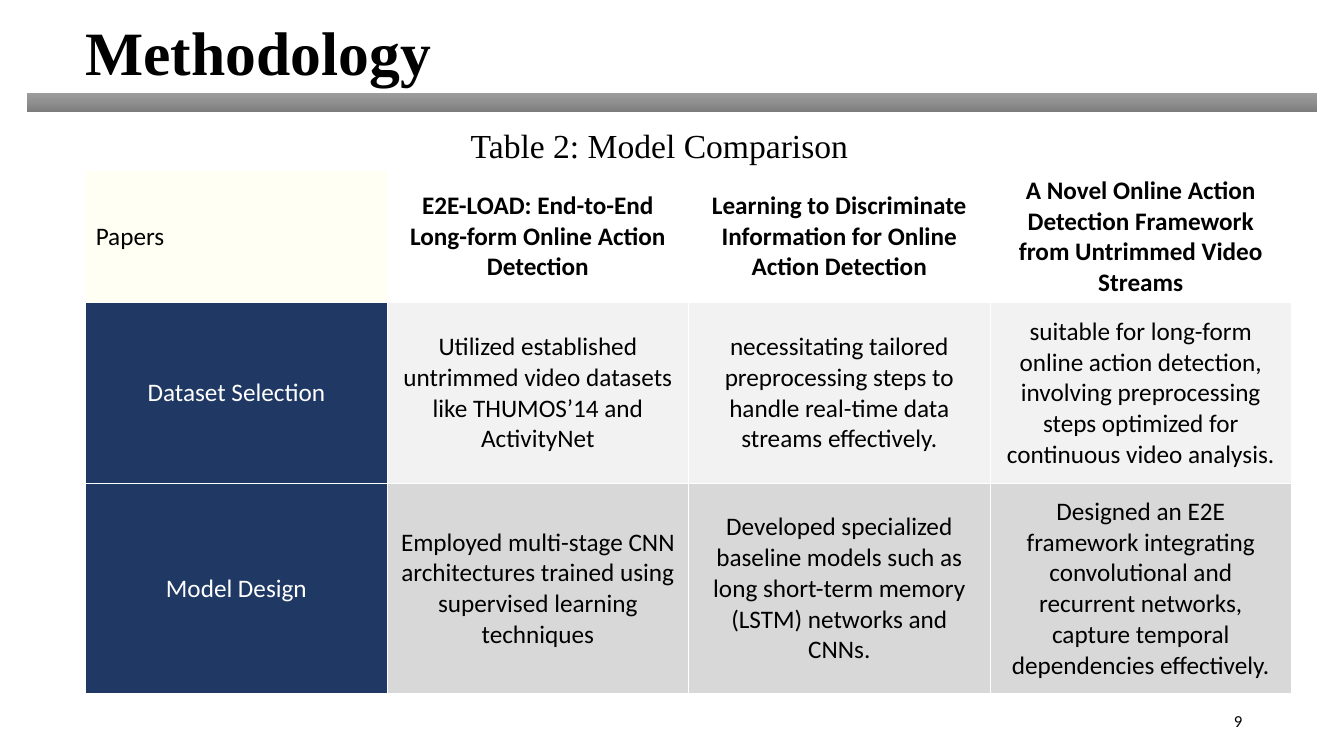
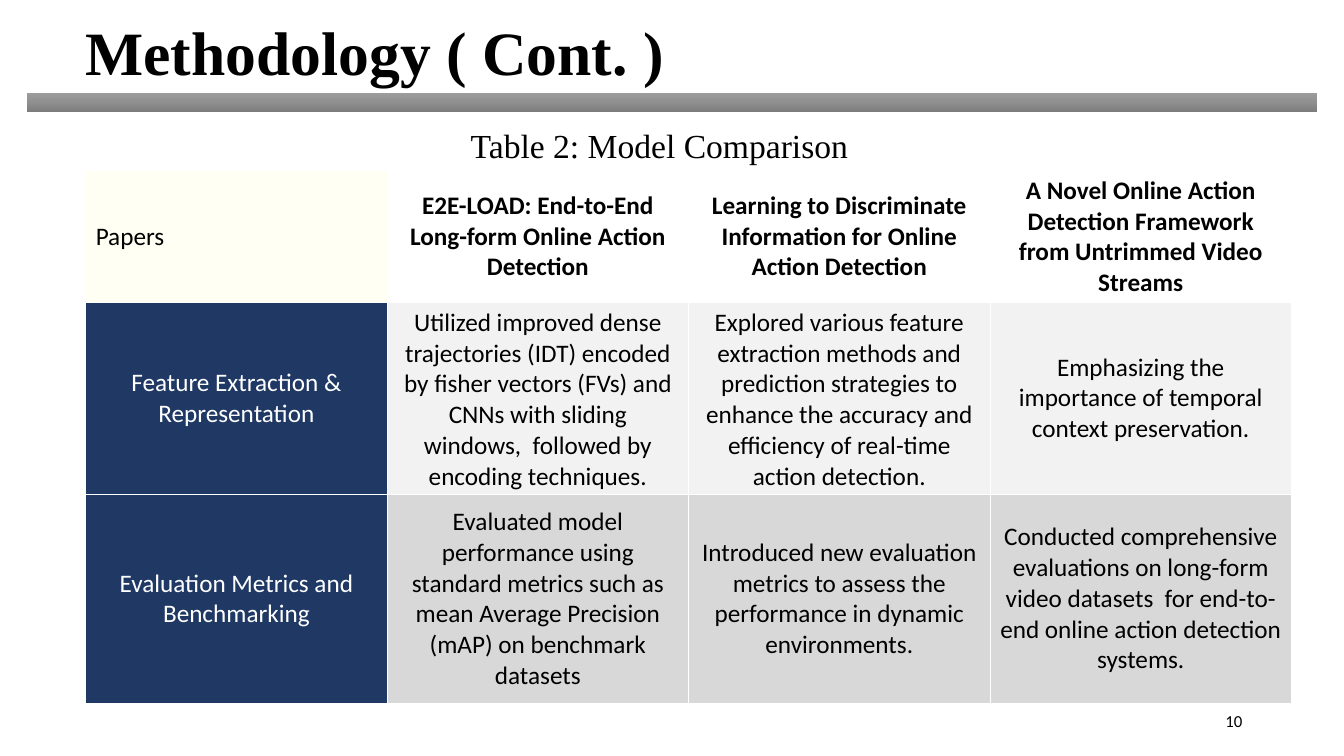
from lxml import etree
from pptx import Presentation
from pptx.dml.color import RGBColor
from pptx.enum.shapes import MSO_SHAPE
from pptx.enum.text import MSO_ANCHOR, MSO_AUTO_SIZE, PP_ALIGN
from pptx.oxml.ns import qn
from pptx.util import Emu, Pt

RECTANGLE = MSO_SHAPE.RECTANGLE
MIDDLE = MSO_ANCHOR.MIDDLE
TOP = MSO_ANCHOR.TOP
FIT_SHAPE = MSO_AUTO_SIZE.SHAPE_TO_FIT_TEXT
LEFT, CENTER, RIGHT = PP_ALIGN.LEFT, PP_ALIGN.CENTER, PP_ALIGN.RIGHT

EMU_PER_PX = 9144

PAPERS = [
    "Papers",
    "E2E-LOAD: End-to-End Long-form Online Action Detection",
    "Learning to Discriminate Information for Online Action Detection",
    "A Novel Online Action Detection Framework from Untrimmed Video Streams",
]

SLIDES = [
    {
        "title": "Methodology",
        "number": "9",
        "heights": [131, 180, 208],
        "rows": [
            [
                "Dataset Selection",
                "Utilized established untrimmed video datasets like THUMOS’14 and ActivityNet",
                "necessitating tailored preprocessing steps to handle real-time data streams effectively.",
                "suitable for long-form online action detection, involving preprocessing steps "
                "optimized for continuous video analysis.",
            ],
            [
                "Model Design",
                "Employed multi-stage CNN architectures trained using supervised learning techniques",
                "Developed specialized baseline models such as long short-term memory (LSTM) "
                "networks and CNNs.",
                "Designed an E2E framework integrating convolutional and recurrent networks, "
                "capture temporal dependencies effectively.",
            ],
        ],
    },
    {
        "title": "Methodology ( Cont. )",
        "number": "10",
        "heights": [131, 190, 208],
        "rows": [
            [
                "Feature Extraction & Representation",
                "Utilized improved dense trajectories (IDT) encoded by fisher vectors (FVs) and "
                "CNNs with sliding windows,  followed by encoding techniques.",
                "Explored various feature extraction methods and prediction strategies to enhance "
                "the accuracy and efficiency of real-time action detection.",
                "Emphasizing the importance of temporal context preservation.",
            ],
            [
                "Evaluation Metrics and Benchmarking",
                "Evaluated model performance using standard metrics such as mean Average "
                "Precision (mAP) on benchmark datasets",
                "Introduced new evaluation metrics to assess the performance in dynamic environments.",
                "Conducted comprehensive evaluations on long-form video datasets  for end-to-end "
                "online action detection systems.",
            ],
        ],
    },
]


def px(length):
    return Emu(length * EMU_PER_PX)


def color(value):
    return RGBColor.from_string(value)


class Deck:
    HEADING_FONT = "Times New Roman"
    BODY_FONT = "Calibri"
    BLACK = "000000"
    WHITE = "FFFFFF"
    NAVY = "1F3864"
    IVORY = "FFFFF4"
    ROW_FILLS = ["F2F2F2", "D8D8D8"]
    BAND_STOPS = [(0, "9D9D9D"), (50, "909090"), (100, "7C7C7C")]
    COLUMN_WIDTH = 299
    BORDER_POINTS = 0.75

    def __init__(self):
        self.presentation = Presentation()
        self.presentation.slide_width = px(1333)
        self.presentation.slide_height = px(750)
        self.slide = None

    def add_slide(self, title, number):
        self.slide = self.presentation.slides.add_slide(self.presentation.slide_layouts[6])
        self.text(number, 942, 695, 300, 40, self.BODY_FONT, 12, align=RIGHT, anchor=MIDDLE)
        heading = self.text(title, 75, 13, 699, 84, self.HEADING_FONT, 44, bold=True, anchor=MIDDLE)
        heading.text_frame.paragraphs[0].line_spacing = 0.9
        self.band(26, 92, 1281, 19)

    def style(self, paragraph, font, size, fill, bold, align):
        paragraph.alignment = align
        paragraph.font.name = font
        paragraph.font.size = Pt(size)
        paragraph.font.bold = bold
        paragraph.font.color.rgb = color(fill)

    def text(self, content, left, top, width, height, font, size,
             bold=False, align=LEFT, anchor=TOP):
        box = self.slide.shapes.add_textbox(px(left), px(top), px(width), px(height))
        frame = box.text_frame
        frame.word_wrap = True
        frame.vertical_anchor = anchor
        frame.text = content
        self.style(frame.paragraphs[0], font, size, self.BLACK, bold, align)
        return box

    def caption(self, content):
        box = self.text(content, 457, 119, 485, 50, self.HEADING_FONT, 24)
        box.text_frame.auto_size = FIT_SHAPE

    def band(self, left, top, width, height):
        shape = self.slide.shapes.add_shape(RECTANGLE, px(left), px(top), px(width), px(height))
        shape.shadow.inherit = False
        shape.line.color.rgb = color(self.WHITE)
        shape.line.width = Pt(0.5)
        shape.fill.gradient()
        shape.fill.gradient_angle = 270
        stop_list = next(shape.element.iter(qn("a:gsLst")))
        for stop in list(stop_list):
            stop_list.remove(stop)
        for position, value in self.BAND_STOPS:
            stop = etree.SubElement(stop_list, qn("a:gs"), pos=str(position * 1000))
            etree.SubElement(stop, qn("a:srgbClr"), val=value)

    def borders(self, cell):
        properties = cell._tc.get_or_add_tcPr()
        for side in ("L", "R", "T", "B"):
            line = etree.SubElement(properties, qn(f"a:ln{side}"), w=str(Pt(self.BORDER_POINTS)))
            fill = etree.SubElement(line, qn("a:solidFill"))
            etree.SubElement(fill, qn("a:srgbClr"), val=self.WHITE)

    def cell_fill(self, row, column):
        if row == 0:
            return self.IVORY if column == 0 else None
        return self.NAVY if column == 0 else self.ROW_FILLS[row - 1]

    def cell(self, cell, content, row, column):
        self.borders(cell)
        fill = self.cell_fill(row, column)
        if fill:
            cell.fill.solid()
            cell.fill.fore_color.rgb = color(fill)
        else:
            cell.fill.background()
        cell.vertical_anchor = MIDDLE
        cell.text = content
        self.style(
            cell.text_frame.paragraphs[0], self.BODY_FONT, 18,
            fill=self.WHITE if fill == self.NAVY else self.BLACK,
            bold=row == 0 and column > 0,
            align=LEFT if row == column == 0 else CENTER,
        )

    def table(self, rows, heights):
        column_count = len(rows[0])
        frame = self.slide.shapes.add_table(
            len(rows), column_count, px(85), px(169),
            px(self.COLUMN_WIDTH * column_count), px(sum(heights)),
        )
        table = frame.table
        table.first_row = False
        table.horz_banding = False
        for row, (contents, height) in enumerate(zip(rows, heights)):
            table.rows[row].height = px(height)
            for column, content in enumerate(contents):
                self.cell(table.cell(row, column), content, row, column)


def main():
    deck = Deck()
    for content in SLIDES:
        deck.add_slide(content["title"], content["number"])
        deck.caption("Table 2: Model Comparison")
        deck.table([PAPERS, *content["rows"]], content["heights"])
    deck.presentation.save("out.pptx")


if __name__ == "__main__":
    main()
